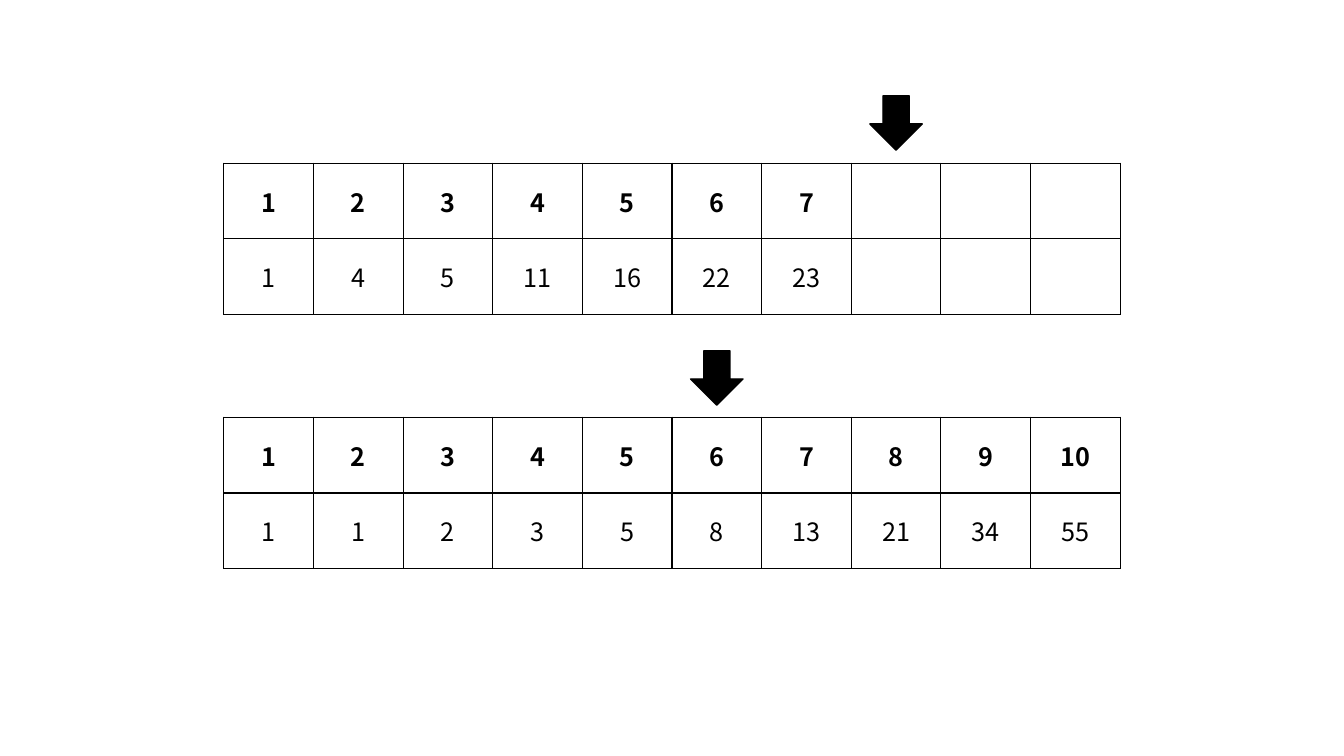
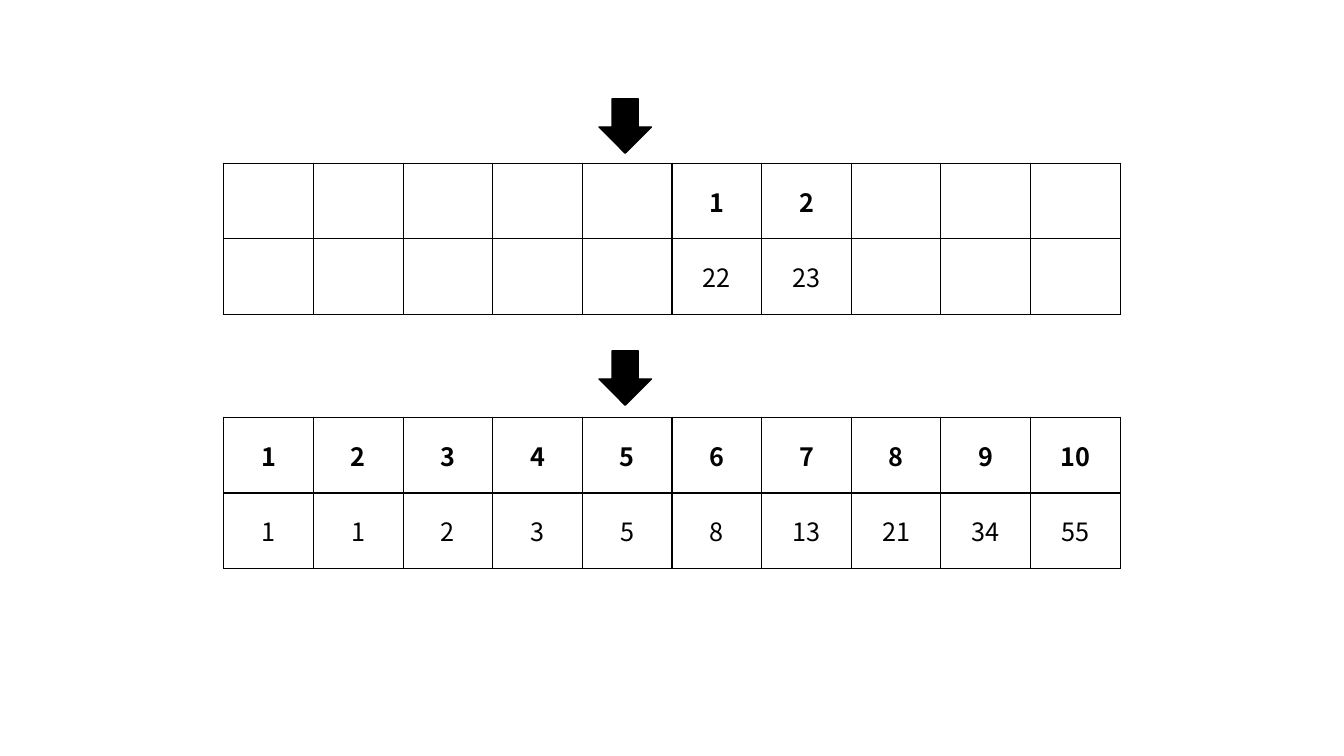
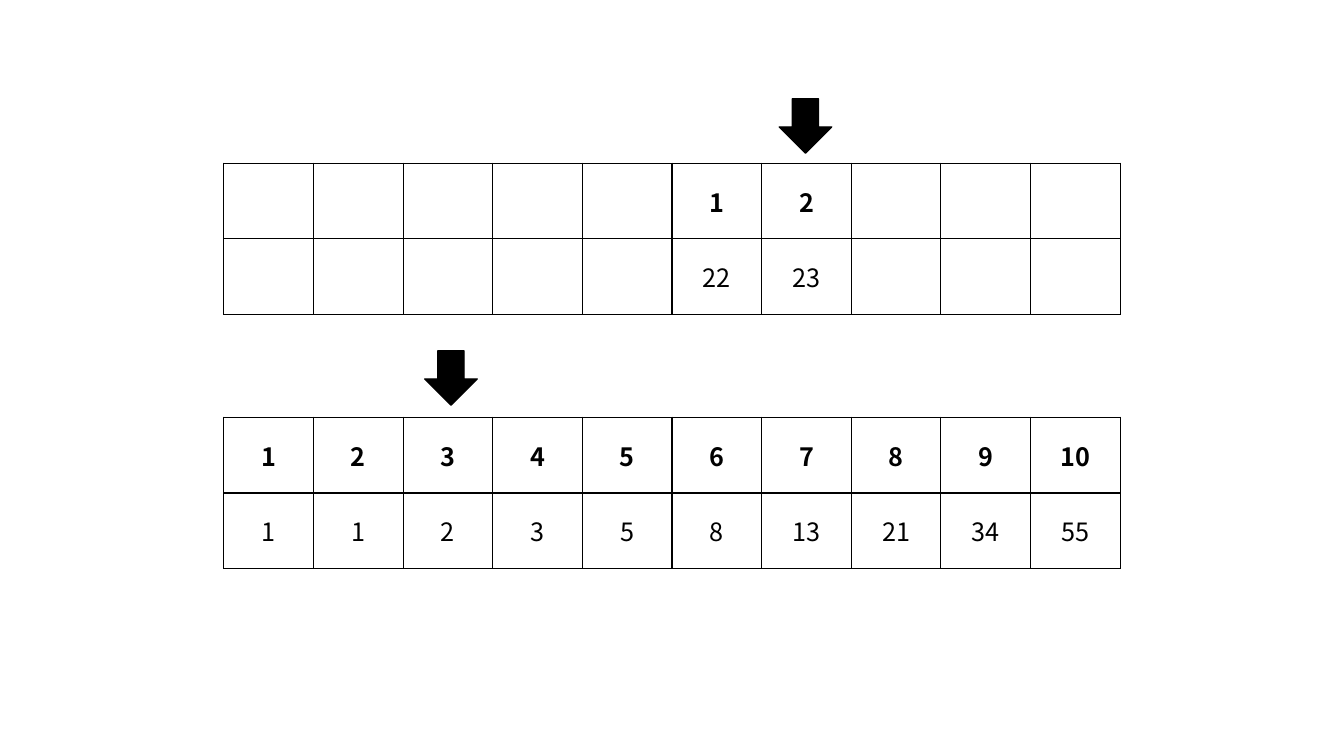
from lxml.etree import SubElement
from pptx import Presentation
from pptx.dml.color import RGBColor
from pptx.enum.shapes import MSO_SHAPE as Shape
from pptx.enum.text import MSO_ANCHOR as Anchor, PP_ALIGN as Align
from pptx.oxml.ns import qn
from pptx.util import Inches, Pt

COLORS = {"ink": "000000", "paper": "FFFFFF"}
FONT = {"name": "Noto Sans CJK KR", "size": Pt(18)}
LINE_WIDTH = Pt(1)

COLUMNS = 10
TRACK_LEFT, TRACK_WIDTH, ROW_HEIGHT = 2.22, 8.89, 0.75
COLUMN_WIDTH = TRACK_WIDTH / COLUMNS
UPPER_TOP, LOWER_TOP = 1.62, 4.14
ARROW_WIDTH, ARROW_HEIGHT = 0.52, 0.54

FIBONACCI = [1, 1, 2, 3, 5, 8, 13, 21, 34, 55]

# Each track: values, columns skipped before them,
# arrow's column, its offset from the column's centre, its rise above the track
SLIDES = [
    (([1, 4, 5, 11, 16, 22, 23], 0, 8, 0, 0.67), (FIBONACCI, 0, 6, 0, 0.66)),
    (([22, 23], 5, 5, -0.02, 0.64), (FIBONACCI, 0, 5, -0.02, 0.66)),
    (([22, 23], 5, 7, -0.01, 0.64), (FIBONACCI, 0, 3, 0.03, 0.66)),
]


def color(key):
    return RGBColor.from_string(COLORS[key])


def add_borders(cell):
    properties = cell._tc.get_or_add_tcPr()
    for side in ("lnL", "lnR", "lnT", "lnB"):
        border = SubElement(properties, qn(f"a:{side}"), w=str(LINE_WIDTH))
        fill = SubElement(border, qn("a:solidFill"))
        SubElement(fill, qn("a:srgbClr"), val=COLORS["ink"])


def fill_cell(cell, value, bold):
    add_borders(cell)
    cell.fill.solid()
    cell.fill.fore_color.rgb = color("paper")
    cell.vertical_anchor = Anchor.MIDDLE
    paragraph = cell.text_frame.paragraphs[0]
    paragraph.alignment = Align.CENTER
    if value is None:
        return
    run = paragraph.add_run()
    run.text = str(value)
    for attribute, setting in {**FONT, "bold": bold}.items():
        setattr(run.font, attribute, setting)
    run.font.color.rgb = color("ink")


def add_cells(slide, left, top, values, skipped):
    """Number the values in a bold row above the values themselves."""
    rows = [range(1, len(values) + 1), values]
    cells = slide.shapes.add_table(
        len(rows), COLUMNS, Inches(left), Inches(top),
        Inches(TRACK_WIDTH), Inches(ROW_HEIGHT * len(rows))).table
    for column in cells.columns:
        column.width = Inches(COLUMN_WIDTH)
    trailing = COLUMNS - skipped - len(values)
    for row, entries in enumerate(rows):
        padded = [None] * skipped + list(entries) + [None] * trailing
        for column, entry in enumerate(padded):
            fill_cell(cells.cell(row, column), entry, bold=row == 0)


def add_pointer(slide, center, top):
    pointer = slide.shapes.add_shape(
        Shape.DOWN_ARROW, Inches(center - ARROW_WIDTH / 2), Inches(top),
        Inches(ARROW_WIDTH), Inches(ARROW_HEIGHT))
    pointer.shadow.inherit = False
    pointer.fill.solid()
    pointer.fill.fore_color.rgb = color("ink")
    pointer.line.color.rgb = color("ink")
    pointer.line.width = LINE_WIDTH


def add_track(slide, left, top, values, skipped, column, offset, rise):
    """Place a numbered row of values with an arrow above one column."""
    add_cells(slide, left, top, values, skipped)
    center = left + (column - 0.5) * COLUMN_WIDTH + offset
    add_pointer(slide, center, top - rise)


def main():
    deck = Presentation()
    deck.slide_width, deck.slide_height = Inches(13.33), Inches(7.5)
    blank_layout = deck.slide_layouts[6]
    for tracks in SLIDES:
        slide = deck.slides.add_slide(blank_layout)
        for top, track in zip((UPPER_TOP, LOWER_TOP), tracks):
            add_track(slide, TRACK_LEFT, top, *track)
    deck.save("out.pptx")


if __name__ == "__main__":
    main()
